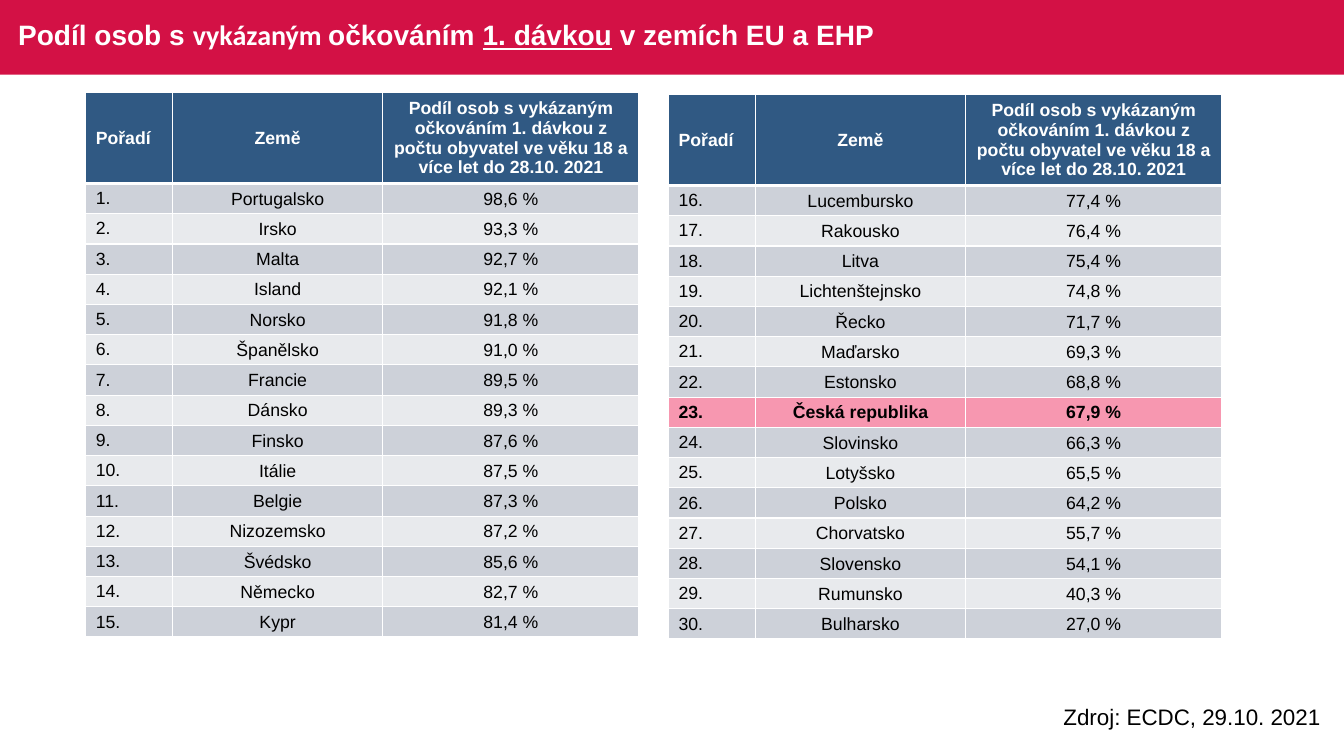
from dataclasses import dataclass

from lxml.etree import SubElement as Sub
from pptx import Presentation
from pptx.dml.color import RGBColor as RGB
from pptx.enum.shapes import MSO_SHAPE as Shape
from pptx.enum.text import MSO_ANCHOR as Anchor, PP_ALIGN as Align
from pptx.oxml.ns import qn
from pptx.util import Inches, Pt


@dataclass(frozen=True)
class Theme:
    bar: str = "D31145"
    head: str = "305983"
    odd: str = "CDD1D9"
    even: str = "E8EAED"
    mark: str = "F797B0"
    white: str = "FFFFFF"
    black: str = "000000"
    font: str = "Arial"
    alt: str = "Calibri"
    title: float = 20
    cell: float = 12.6
    note: float = 16


T = Theme()
WIDE, HIGH = Inches(13.33), Inches(7.5)

# Boxes: left, top, width, height in percent of the slide
BAR = (0, 0, 100, 9.87)
TITLE = (0.6, 0, 65.57, 9.73)
LEFT = (6.38, 12.27, 41.15, 72)
RIGHT = (49.74, 12.53, 41.15, 72)
NOTE = (78.39, 92.4, 23.48, 4.93)

# Table grid: column and row weights
COLS = (86, 209, 254)
ROWS = (3,) + (1,) * 15

HEADS = ("Pořadí", "Země",
         "Podíl osob s vykázaným očkováním 1. dávkou z počtu obyvatel "
         "ve věku 18 a více let do 28.10. 2021")
HOME = "Česká republika"
DATA = [
    ("Portugalsko", "98,6"), ("Irsko", "93,3"), ("Malta", "92,7"),
    ("Island", "92,1"), ("Norsko", "91,8"), ("Španělsko", "91,0"),
    ("Francie", "89,5"), ("Dánsko", "89,3"), ("Finsko", "87,6"),
    ("Itálie", "87,5"), ("Belgie", "87,3"), ("Nizozemsko", "87,2"),
    ("Švédsko", "85,6"), ("Německo", "82,7"), ("Kypr", "81,4"),
    ("Lucembursko", "77,4"), ("Rakousko", "76,4"), ("Litva", "75,4"),
    ("Lichtenštejnsko", "74,8"), ("Řecko", "71,7"), ("Maďarsko", "69,3"),
    ("Estonsko", "68,8"), (HOME, "67,9"), ("Slovinsko", "66,3"),
    ("Lotyšsko", "65,5"), ("Polsko", "64,2"), ("Chorvatsko", "55,7"),
    ("Slovensko", "54,1"), ("Rumunsko", "40,3"), ("Bulharsko", "27,0"),
]


def place(box):
    return [int(n * side / 100) for n, side in zip(box, (WIDE, HIGH) * 2)]


def write(para, text, size=T.cell, color=T.black, font=T.font,
          bold=False, under=False, align=Align.LEFT):
    para.alignment = align
    run = para.add_run()
    run.text = text
    style = run.font
    style.size, style.name = Pt(size), font
    style.bold, style.underline = bold, under
    style.color.rgb = RGB.from_string(color)


def edge(cell, **widths):
    """White cell borders; widths in points by side."""
    props = cell._tc.get_or_add_tcPr()
    for side in "LRTB":
        line = Sub(props, qn("a:ln" + side), w=str(Pt(widths.get(side, 1))))
        Sub(Sub(line, qn("a:solidFill")), qn("a:srgbClr"), val=T.white)


def banner(slide, box):
    # Red bar behind the title
    bar = slide.shapes.add_shape(Shape.RECTANGLE, *place(box))
    bar.shadow.inherit = False
    bar.fill.solid()
    bar.fill.fore_color.rgb = RGB.from_string(T.bar)
    bar.line.fill.background()
    slide.shapes._spTree.insert(2, bar._element)


def heading(slide, box):
    # Title with one word in another font and one underlined part
    title = slide.shapes.title
    title.left, title.top, title.width, title.height = place(box)
    frame = title.text_frame
    frame.word_wrap, frame.vertical_anchor = True, Anchor.MIDDLE
    para = frame.paragraphs[0]
    para.line_spacing = 0.9
    for text, form in (("Podíl osob s ", {}),
                       ("vykázaným ", {"font": T.alt}),
                       ("očkováním ", {}),
                       ("1. dávkou", {"under": True}),
                       (" v zemích EU a EHP", {})):
        write(para, text, size=T.title, color=T.white, bold=True, **form)


def ranks(slide, box, data, start):
    # Ranking table: header row, then one row per country
    left, top, width, height = place(box)
    table = slide.shapes.add_table(len(ROWS), len(COLS), left, top,
                                   width, height).table
    for col, part in zip(table.columns, COLS):
        col.width = int(width * part / sum(COLS))
    for row, part in zip(table.rows, ROWS):
        row.height = int(height * part / sum(ROWS))
    lines = [HEADS] + [(f"{n}.", land, f"{share} %")
                       for n, (land, share) in enumerate(data, start)]
    for r, line in enumerate(lines):
        head, home = r == 0, line[1] == HOME
        fill = (T.head if head else T.mark if home
                else T.odd if r % 2 else T.even)
        for c, text in enumerate(line):
            cell = table.cell(r, c)
            cell.vertical_anchor = Anchor.MIDDLE
            if c and not head:
                cell.margin_left = cell.margin_right = Inches(0.01)
                cell.margin_top, cell.margin_bottom = Inches(0.01), 0
            edge(cell, B=3 if head else 1, T=3 if r == 1 else 1)
            cell.fill.solid()
            cell.fill.fore_color.rgb = RGB.from_string(fill)
            write(cell.text_frame.paragraphs[0], text, bold=head or home,
                  color=T.white if head else T.black,
                  align=Align.CENTER if c else Align.LEFT)


def source(slide, box):
    # Source note at the bottom right
    frame = slide.shapes.add_textbox(*place(box)).text_frame
    frame.word_wrap = True
    write(frame.paragraphs[0], "Zdroj: ECDC, 29.10. 2021", size=T.note)


def main():
    deck = Presentation()
    deck.slide_width, deck.slide_height = WIDE, HIGH
    slide = deck.slides.add_slide(deck.slide_layouts[5])
    banner(slide, BAR)
    heading(slide, TITLE)
    half = len(DATA) // 2
    ranks(slide, LEFT, DATA[:half], 1)
    ranks(slide, RIGHT, DATA[half:], half + 1)
    source(slide, NOTE)
    deck.save("out.pptx")


if __name__ == "__main__":
    main()
